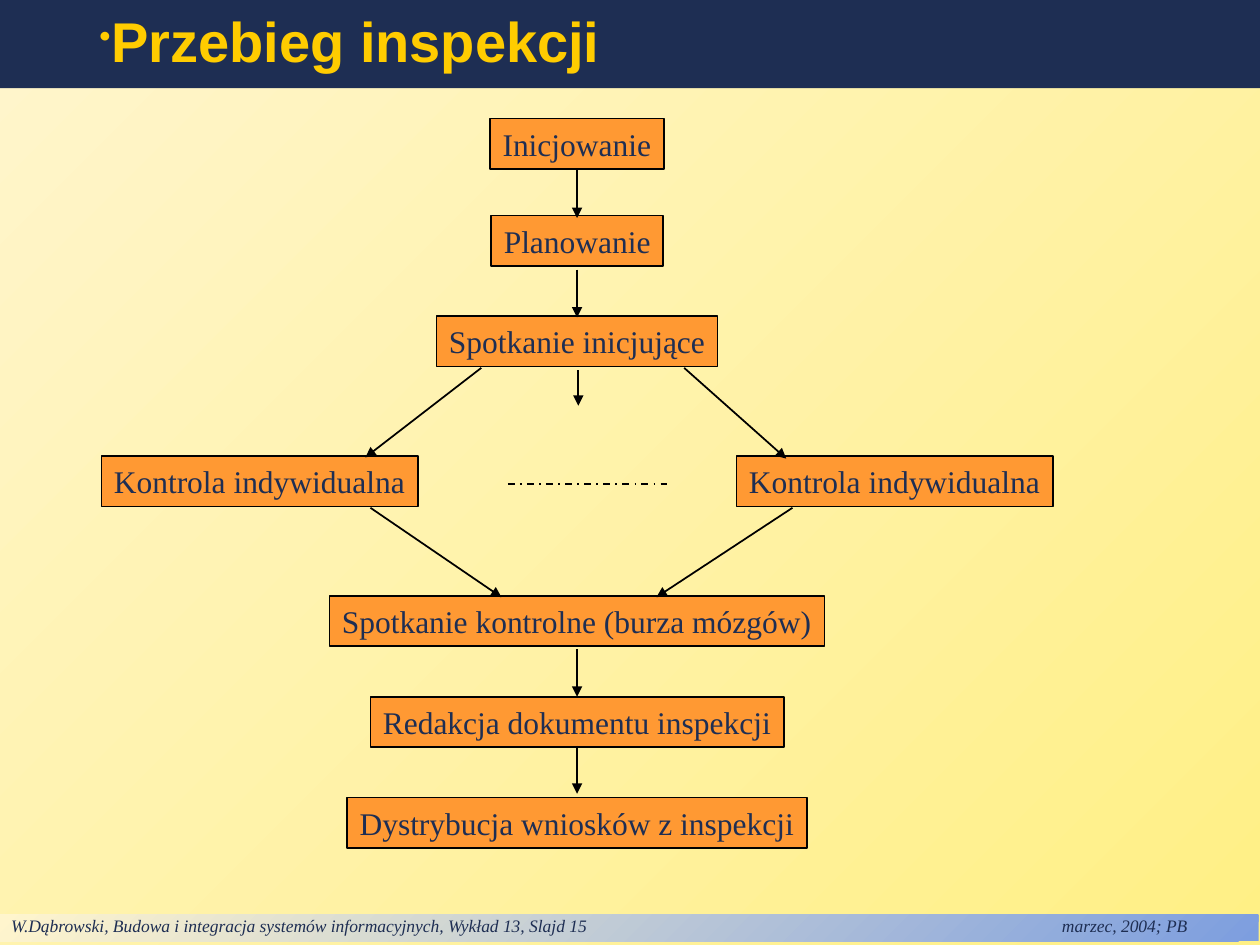
from pptx import Presentation
from pptx.dml.color import RGBColor
from pptx.enum.dml import MSO_LINE
from pptx.enum.shapes import MSO_CONNECTOR, MSO_SHAPE
from pptx.enum.text import MSO_ANCHOR, MSO_AUTO_SIZE, PP_ALIGN
from pptx.oxml.ns import qn
from pptx.util import Inches, Pt
from lxml import etree

RECT, LINE = MSO_SHAPE.RECTANGLE, MSO_CONNECTOR.STRAIGHT
TOP, MID = MSO_ANCHOR.TOP, MSO_ANCHOR.MIDDLE
NONE, GROW = MSO_AUTO_SIZE.NONE, MSO_AUTO_SIZE.SHAPE_TO_FIT_TEXT
LEFT, DASH = PP_ALIGN.LEFT, MSO_LINE.DASH_DOT

# Grid of 100 columns by 75 rows
COLS, ROWS = 100, 75
UNIT = Inches(10) // COLS


class Theme:
    navy, gold, orange, black = "1E2E53", "FFCC00", "FF9933", "000000"
    back = ("FFF085", "FFF5CD")
    band = ("7D9EDF", "FFF5CD")
    angle = 135
    stroke = Pt(1)
    title = {"name": "Arial", "size": Pt(32), "bold": True}
    step = {"name": "Times New Roman", "size": Pt(18)}
    foot = {"name": "Times New Roman", "size": Pt(10), "italic": True}


def grid(*vals):
    return [round(v * UNIT) for v in vals]


def rgb(hue):
    return RGBColor.from_string(hue)


def apply(part, vals):
    for key, val in vals.items():
        setattr(part, key, val)


def blend(fill, hues):
    fill.gradient()
    fill.gradient_angle = Theme.angle
    for stop, hue in zip(fill.gradient_stops, hues):
        stop.color.rgb = rgb(hue)


def panel(slide, box, fill, edge=None):
    shape = slide.shapes.add_shape(RECT, *grid(*box))
    shape.shadow.inherit = False
    if isinstance(fill, tuple):
        blend(shape.fill, fill)
    else:
        shape.fill.solid()
        shape.fill.fore_color.rgb = rgb(fill)
    if edge:
        shape.line.color.rgb = rgb(edge)
        shape.line.width = Theme.stroke
    else:
        shape.line.fill.background()
    return shape


def write(shape, text, font, hue, frame):
    apply(shape.text_frame, frame)
    para = shape.text_frame.paragraphs[0]
    para.alignment = LEFT
    run = para.add_run()
    run.text = text
    apply(run.font, font)
    run.font.color.rgb = rgb(hue)
    return para


def wire(slide, ends, head=True):
    line = slide.shapes.add_connector(LINE, *grid(*ends))
    line.line.color.rgb = rgb(Theme.black)
    line.line.width = Theme.stroke
    if head:
        etree.SubElement(line.line._get_or_add_ln(), qn("a:tailEnd"), type="triangle")
    else:
        line.line.dash_style = DASH
    etree.SubElement(line._element.spPr, qn("a:effectLst"))


def footer(slide, box):
    shape = panel(slide, box, Theme.band)
    para = write(
        shape,
        "W.Dąbrowski, Budowa i integracja systemów informacyjnych, Wykład 13, Slajd 15\tmarzec, 2004; PB",
        Theme.foot, Theme.navy,
        {"word_wrap": True, "auto_size": GROW, "vertical_anchor": TOP,
         "margin_top": 0, "margin_bottom": Inches(0.04)})
    # Tab stop for the date
    tabs = etree.SubElement(para._p.get_or_add_pPr(), qn("a:tabLst"))
    etree.SubElement(tabs, qn("a:tab"), pos=str(grid(0.834 * box[2])[0]), algn="l")


def header(slide, box):
    shape = panel(slide, box, Theme.navy)
    para = write(shape, "Przebieg inspekcji", Theme.title, Theme.gold,
                 {"word_wrap": True, "auto_size": NONE, "vertical_anchor": MID})
    # Small bullet in the title colour
    props = para._p.get_or_add_pPr()
    props.set("marL", str(Inches(0.29)))
    props.set("indent", str(Inches(0.4)))
    tint = etree.SubElement(props, qn("a:buClr"))
    etree.SubElement(tint, qn("a:srgbClr"), val=Theme.gold)
    etree.SubElement(props, qn("a:buSzPct"), val="60000")
    etree.SubElement(props, qn("a:buChar"), char="•")
    para.line_spacing = 0.9


def flow(slide, box):
    left, top, wide, _ = box
    axis = left + 0.458 * wide
    # Steps: text, centre offset from the axis, top row, width
    steps = [
        ("Inicjowanie", 0, 2.4, 13.8),
        ("Planowanie", 0, 10.1, 13.6),
        ("Spotkanie inicjujące", 0, 18.1, 22.3),
        ("Kontrola indywidualna", -25.2, 29.2, 25.1),
        ("Kontrola indywidualna", 25.2, 29.2, 25.1),
        ("Spotkanie kontrolne (burza mózgów)", 0, 40.3, 39.3),
        ("Redakcja dokumentu inspekcji", 0, 48.3, 32.8),
        ("Dystrybucja wniosków z inspekcji", 0, 56.3, 36.5),
    ]
    # A narrow right margin keeps each label on one line
    frame = {"word_wrap": False, "auto_size": NONE, "vertical_anchor": TOP,
             "margin_right": Inches(0.05)}
    for text, shift, row, span in steps:
        shape = panel(slide, (axis + shift - span / 2, top + row, span, 4),
                      Theme.orange, Theme.black)
        write(shape, text, Theme.step, Theme.navy, frame)

    # Arrows down the axis, then the branches, as offsets from the axis
    links = [(0, row, 0, row + 3.8) for row in (6.5, 14.4, 44.5, 52.2)]
    links += [
        (-7.6, 22.2, -16.8, 29.3),
        (8.5, 22.2, 16.6, 29.4),
        (0.1, 22.4, 0.1, 25.2),
        (-16.4, 33.3, -6, 40.4),
        (17.1, 33.3, 6.3, 40.4),
    ]
    for x1, y1, x2, y2 in links:
        wire(slide, (axis + x1, top + y1, axis + x2, top + y2))

    # Dashed mark for further checks
    wire(slide, (axis - 5.5, top + 31.4, axis + 7.2, top + 31.4), head=False)


def main():
    deck = Presentation()
    deck.slide_width, deck.slide_height = COLS * UNIT, ROWS * UNIT
    slide = deck.slides.add_slide(deck.slide_layouts[6])
    blend(slide.background.fill, Theme.back)
    footer(slide, (-0.1, 72.6, COLS, 2.1))
    header(slide, (0, 0, COLS, 7))
    flow(slide, (0, 7, COLS, 65.6))
    deck.save("out.pptx")


if __name__ == "__main__":
    main()
